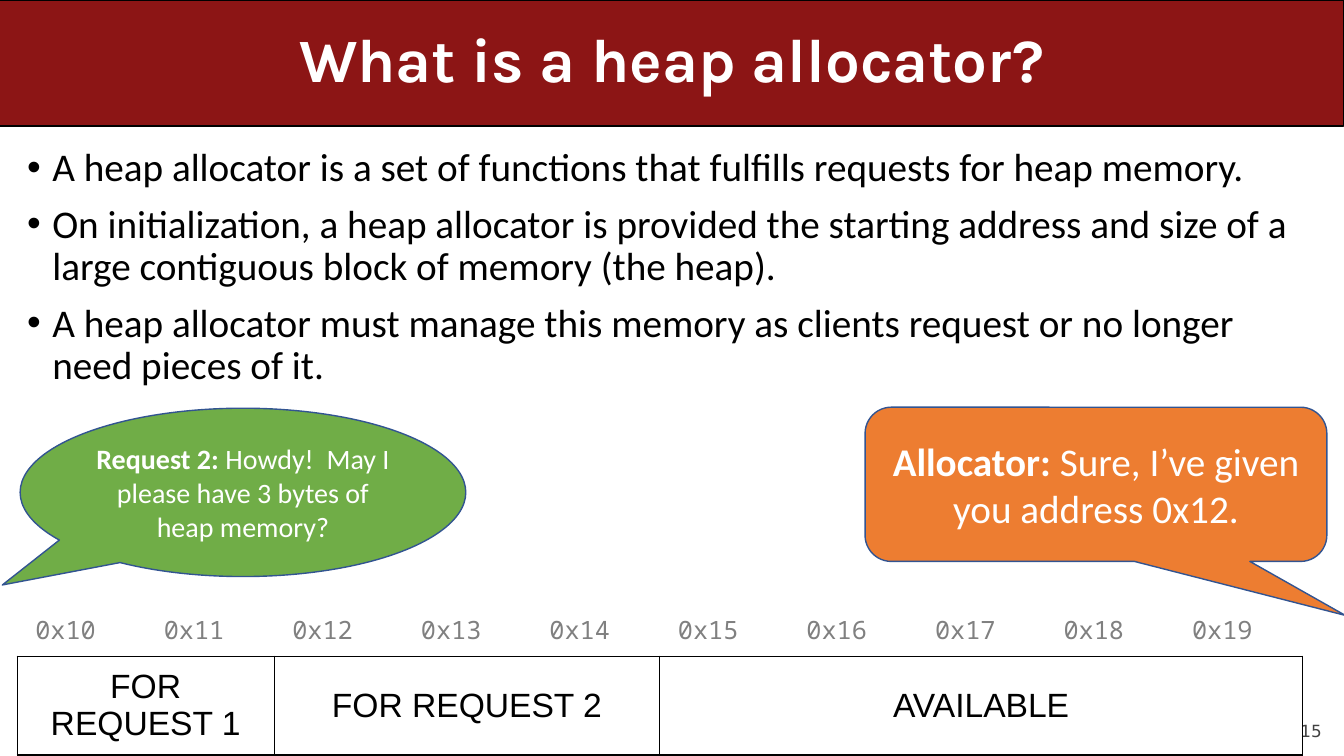
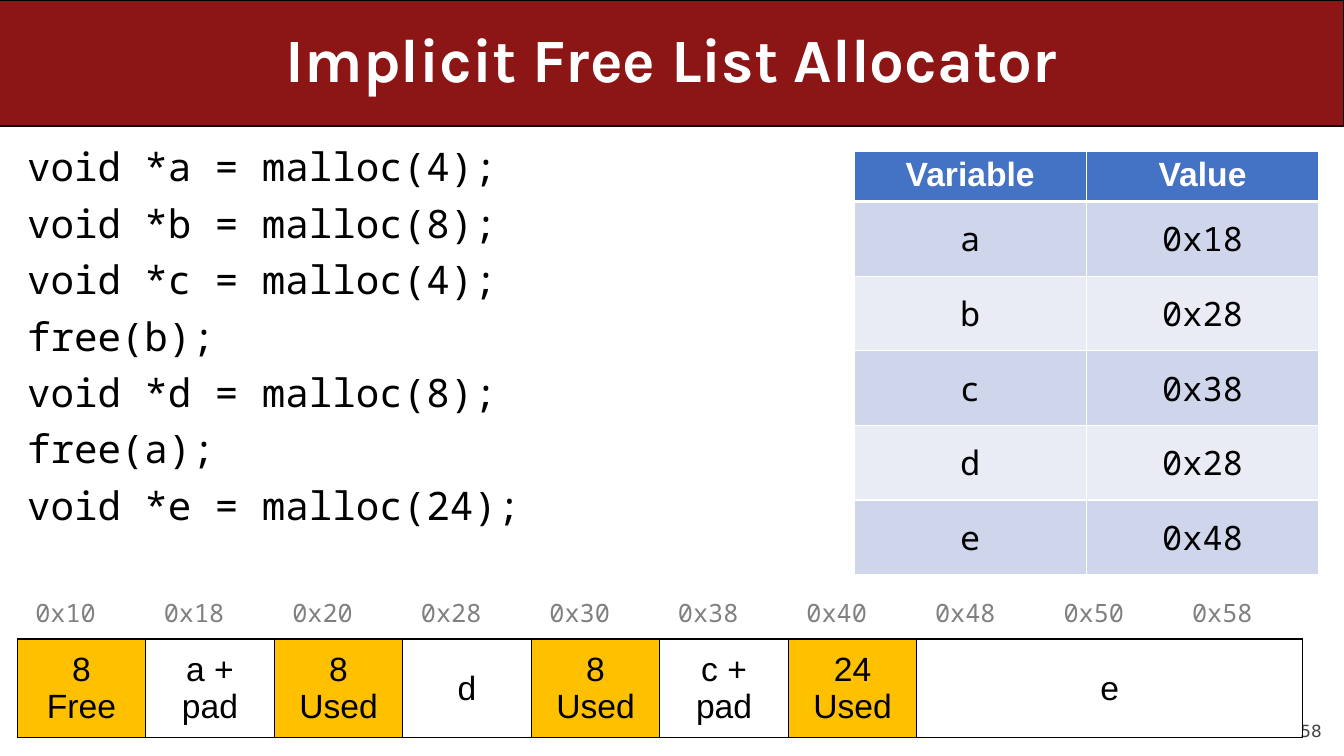
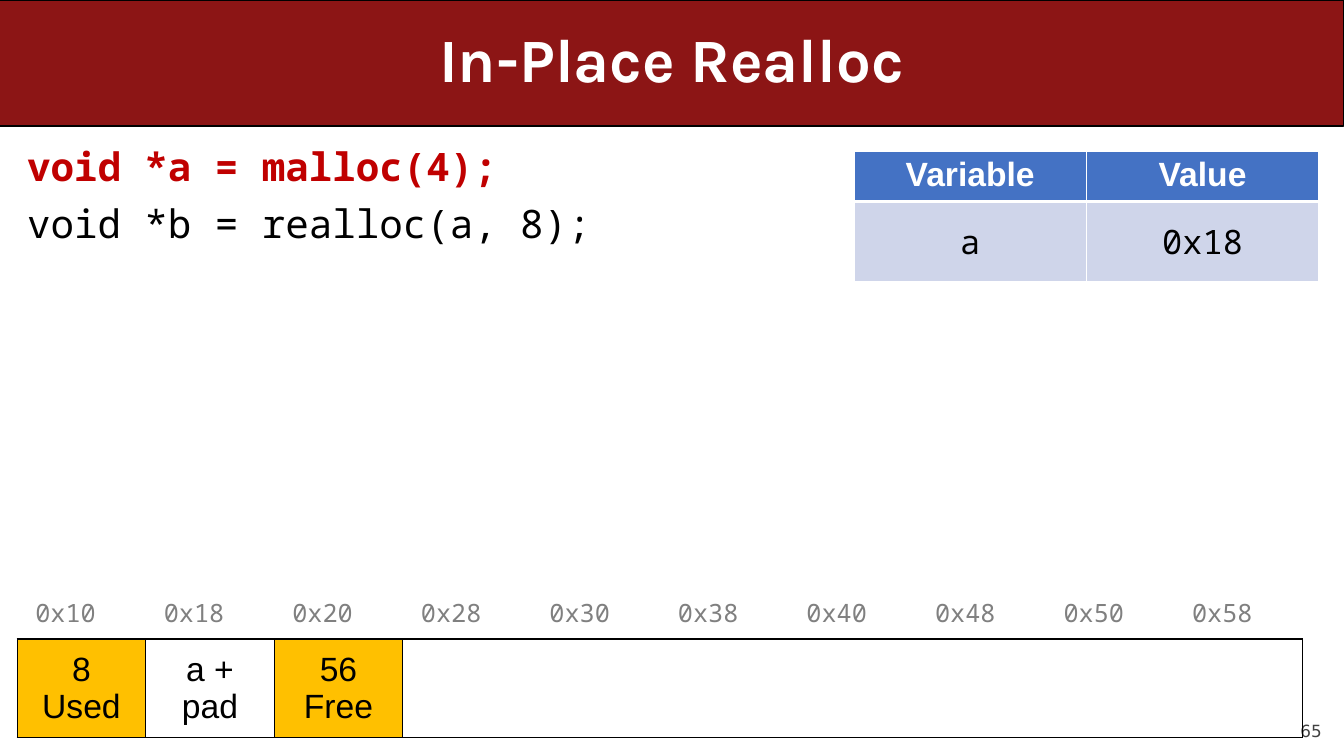
from lxml.etree import SubElement
from pptx import Presentation
from pptx.dml.color import RGBColor
from pptx.enum.shapes import MSO_SHAPE as Preset
from pptx.enum.text import MSO_ANCHOR as Anchor, PP_ALIGN as Align
from pptx.oxml.ns import qn
from pptx.util import Inches, Pt

BLACK, WHITE, GRAY = "000000", "FFFFFF", "808080"
CARDINAL, PAGE_GRAY, HIGHLIGHT = "8C1515", "424242", "C00000"
GREEN, ORANGE, CALLOUT_LINE = "70AD47", "ED7D31", "325491"
BLUE, BANDS, HEADER_GOLD = "4472C4", ("CFD5EA", "E9EBF5"), "FFC000"
TITLE_FONT, BODY_FONT, CODE_FONT = "Karla", "Calibri", "Noto Sans Mono"
TABLE_FONT, PAGE_FONT = "Arial", "DejaVu Sans"
SLIDE_WIDTH, SLIDE_HEIGHT = 13.33, 7.5
BAND_HEIGHT = 1.25
MEMORY_WIDTH, MEMORY_ROW = 12.75, 0.76
SIDES = ("L", "R", "T", "B")
WORD_ADDRESSES = [f"0x{address:x}" for address in range(0x10, 0x60, 8)]


def color(value):
    """Turn a hex string into a colour."""
    return RGBColor.from_string(value)


def add_bullet(paragraph):
    """Give a paragraph a hanging round bullet."""
    properties = paragraph._p.get_or_add_pPr()
    properties.set("marL", str(Inches(0.25)))
    properties.set("indent", str(-Inches(0.25)))
    SubElement(properties, qn("a:buFont")).set("typeface", "Arial")
    SubElement(properties, qn("a:buChar")).set("char", "•")


def write_text(frame, paragraphs, size=24, font=BODY_FONT, ink=BLACK, bold=False,
               align=Align.LEFT, spacing=None, before=0, bullet=False):
    """Write paragraphs, each a string or a list of (text, run format) pairs."""
    for index, content in enumerate(paragraphs):
        paragraph = frame.paragraphs[0] if index == 0 else frame.add_paragraph()
        paragraph.alignment = align
        paragraph.space_before = Pt(before)
        if spacing:
            paragraph.line_spacing = spacing
        if bullet:
            add_bullet(paragraph)
        runs = [(content, {})] if isinstance(content, str) else content
        for text, style in runs:
            run = paragraph.add_run()
            run.text = text
            run.font.size = Pt(size)
            run.font.name = font
            run.font.bold = style.get("bold", bold)
            run.font.color.rgb = color(style.get("ink", ink))


def add_text(slide, box, paragraphs, anchor=Anchor.TOP, margin=None, **text_format):
    """Add a wrapping text box."""
    frame = slide.shapes.add_textbox(*map(Inches, box)).text_frame
    frame.word_wrap = True
    frame.vertical_anchor = anchor
    if margin is not None:
        frame.margin_left = frame.margin_right = Inches(margin)
        frame.margin_top = frame.margin_bottom = Inches(margin)
    write_text(frame, paragraphs, **text_format)


def add_shape(slide, preset, box, fill, line, line_width, adjustments):
    """Add a filled and outlined preset shape."""
    shape = slide.shapes.add_shape(preset, *map(Inches, box))
    shape.shadow.inherit = False
    shape.fill.solid()
    shape.fill.fore_color.rgb = color(fill)
    shape.line.color.rgb = color(line)
    shape.line.width = Pt(line_width)
    for index, value in enumerate(adjustments):
        shape.adjustments[index] = value
    return shape


def add_callout(slide, preset, box, fill, adjustments, speaker, speech, size):
    """Add a speech bubble with a bold speaker name."""
    shape = add_shape(slide, preset, box, fill, CALLOUT_LINE, 1, adjustments)
    shape.text_frame.word_wrap = True
    shape.text_frame.vertical_anchor = Anchor.MIDDLE
    write_text(shape.text_frame, [[(speaker, {"bold": True}), (speech, {})]],
               size=size, ink=WHITE, align=Align.CENTER)


def set_borders(cell, widths, ink):
    """Set the left, right, top and bottom borders; zero width means none."""
    properties = cell._tc.get_or_add_tcPr()
    for side, width in zip(SIDES, widths):
        line = SubElement(properties, qn(f"a:ln{side}"), w=str(Pt(width)))
        if width:
            fill = SubElement(line, qn("a:solidFill"))
            SubElement(fill, qn("a:srgbClr"), val=ink)
        else:
            SubElement(line, qn("a:noFill"))


def style_cell(cell, widths, ink, fill=None):
    """Set the borders and the fill of a cell."""
    set_borders(cell, widths, ink)
    if fill:
        cell.fill.solid()
        cell.fill.fore_color.rgb = color(fill)
    else:
        cell.fill.background()


def add_table(slide, left, top, width, heights, columns):
    """Add a plain table with equal columns."""
    box = (left, top, width, sum(heights))
    table = slide.shapes.add_table(len(heights), columns, *map(Inches, box)).table
    table.first_row = table.horz_banding = False
    for row, height in zip(table.rows, heights):
        row.height = Inches(height)
    return table


def pad_cell(cell, anchor):
    """Give a memory cell its margins and anchor."""
    cell.margin_left = cell.margin_right = Inches(0.18)
    cell.margin_top = cell.margin_bottom = Inches(0.09)
    cell.vertical_anchor = anchor


def add_memory(slide, top, addresses, blocks):
    """Add the heap diagram from (lines, column count, fill) blocks."""
    table = add_table(slide, 0.17, top, MEMORY_WIDTH, [MEMORY_ROW] * 2, len(addresses))
    for column, address in enumerate(addresses):
        cell = table.cell(0, column)
        style_cell(cell, (0, 0, 0, 1), BLACK)
        pad_cell(cell, Anchor.BOTTOM)
        write_text(cell.text_frame, [address], size=18, font=CODE_FONT, ink=GRAY)
    start = 0
    for lines, span, fill in blocks:
        for column in range(start, start + span):
            style_cell(table.cell(1, column), (1, 1, 1, 1), BLACK, fill)
        block = table.cell(1, start)
        if span > 1:
            block.merge(table.cell(1, start + span - 1))
        pad_cell(block, Anchor.MIDDLE)
        write_text(block.text_frame, lines, font=TABLE_FONT, align=Align.CENTER)
        start += span


def add_variables(slide, variables, header_height, row_height):
    """Add the table of variables and their values."""
    rows = [("Variable", "Value"), *variables]
    heights = [header_height] + [row_height] * len(variables)
    table = add_table(slide, 8.47, 1.5, 4.61, heights, 2)
    for row, values in enumerate(rows):
        header = row == 0
        widths = (1, 1, 3 if row == 1 else 1, 3 if header else 1)
        fill = BLUE if header else BANDS[(row - 1) % 2]
        for column, value in enumerate(values):
            cell = table.cell(row, column)
            style_cell(cell, widths, WHITE, fill)
            cell.vertical_anchor = Anchor.TOP if header else Anchor.MIDDLE
            write_text(cell.text_frame, [value], bold=header, align=Align.CENTER,
                       font=TABLE_FONT if header else CODE_FONT,
                       ink=WHITE if header else BLACK)


def add_code(slide, lines):
    """Add the lines of code on the left."""
    add_text(slide, (0.17, 1.42, 12.92, 4.17), lines, size=28, font=CODE_FONT,
             spacing=0.9, before=10)


def add_slide(presentation, title, number):
    """Add a slide with the page number, title band and title."""
    slide = presentation.slides.add_slide(presentation.slide_layouts[6])
    add_text(slide, (12, 6.95, 1.11, 0.4), [str(number)], anchor=Anchor.BOTTOM,
             margin=0, size=12, font=PAGE_FONT, ink=PAGE_GRAY, align=Align.RIGHT,
             before=5)
    add_shape(slide, Preset.ROUNDED_RECTANGLE, (0, 0, SLIDE_WIDTH, BAND_HEIGHT),
              CARDINAL, BLACK, 0.74, [0])
    add_text(slide, (0.5, 0, 12.33, BAND_HEIGHT), [title], anchor=Anchor.MIDDLE,
             size=44, font=TITLE_FONT, ink=WHITE, bold=True, align=Align.CENTER,
             spacing=0.9)
    return slide


def build_heap_allocator(presentation):
    """Build the slide that introduces heap allocators."""
    slide = add_slide(presentation, "What is a heap allocator?", 15)
    add_text(slide, (0.17, 1.42, 12.92, 4), [
        "A heap allocator is a set of functions that fulfills requests for heap memory.",
        "On initialization, a heap allocator is provided the starting address and size "
        "of a large contiguous block of memory (the heap).",
        "A heap allocator must manage this memory as clients request or no longer need "
        "pieces of it.",
    ], size=28, spacing=0.9, before=10, bullet=True)
    add_callout(slide, Preset.OVAL_CALLOUT, (0.2, 4.05, 4.42, 1.67), GREEN,
                (-0.54, 0.55), "Request 2:",
                " Howdy!  May I please have 3 bytes of heap memory?", 20)
    add_callout(slide, Preset.ROUNDED_RECTANGULAR_CALLOUT, (8.58, 4.04, 4.58, 1.53),
                ORANGE, (0.54, 0.85, 0.17), "Allocator: ",
                "Sure, I’ve given you address 0x12.", 28)
    add_memory(slide, 5.75, [f"0x{address:x}" for address in range(0x10, 0x1A)], [
        (["FOR REQUEST 1"], 2, None),
        (["FOR REQUEST 2"], 3, None),
        (["AVAILABLE"], 5, None),
    ])


def build_implicit_list(presentation):
    """Build the implicit free list slide."""
    slide = add_slide(presentation, "Implicit Free List Allocator", 58)
    add_code(slide, [
        "void *a = malloc(4);",
        "void *b = malloc(8);",
        "void *c = malloc(4);",
        "free(b);",
        "void *d = malloc(8);",
        "free(a);",
        "void *e = malloc(24);",
    ])
    add_variables(slide, [("a", "0x18"), ("b", "0x28"), ("c", "0x38"),
                          ("d", "0x28"), ("e", "0x48")], 0.47, 0.74)
    add_memory(slide, 5.58, WORD_ADDRESSES, [
        (["8", "Free"], 1, HEADER_GOLD),
        (["a + pad"], 1, None),
        (["8", "Used"], 1, HEADER_GOLD),
        (["d"], 1, None),
        (["8", "Used"], 1, HEADER_GOLD),
        (["c + pad"], 1, None),
        (["24", "Used"], 1, HEADER_GOLD),
        (["e"], 3, None),
    ])


def build_realloc(presentation):
    """Build the in-place realloc slide."""
    slide = add_slide(presentation, "In-Place Realloc", 65)
    add_code(slide, [
        [("void *a = malloc(4);", {"bold": True, "ink": HIGHLIGHT})],
        "void *b = realloc(a, 8);",
    ])
    add_memory(slide, 5.58, WORD_ADDRESSES, [
        (["8", "Used"], 1, HEADER_GOLD),
        (["a + pad"], 1, None),
        (["56", "Free"], 1, HEADER_GOLD),
        ([], 7, None),
    ])
    add_variables(slide, [("a", "0x18")], 0.46, 0.79)


def main():
    """Build and save the presentation."""
    presentation = Presentation()
    presentation.slide_width = Inches(SLIDE_WIDTH)
    presentation.slide_height = Inches(SLIDE_HEIGHT)
    build_heap_allocator(presentation)
    build_implicit_list(presentation)
    build_realloc(presentation)
    presentation.save("out.pptx")


main()
